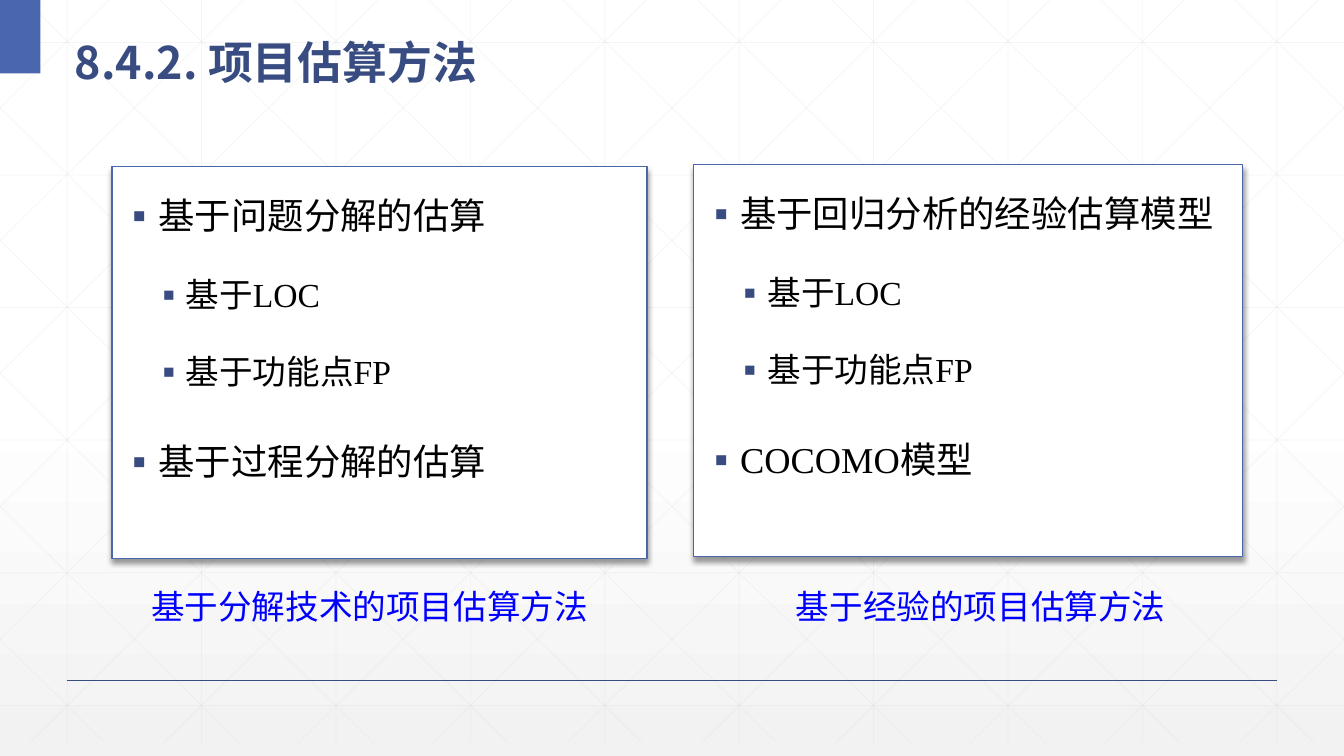
"""Builds a slide that sets two families of project estimation methods side by side."""
from dataclasses import dataclass

from lxml import etree
from pptx import Presentation
from pptx.dml.color import RGBColor
from pptx.enum.shapes import MSO_CONNECTOR, MSO_SHAPE
from pptx.enum.text import MSO_ANCHOR, MSO_AUTO_SIZE, PP_ALIGN
from pptx.oxml.ns import qn
from pptx.util import Cm, Pt

LINE = MSO_CONNECTOR.STRAIGHT
RECT = MSO_SHAPE.RECTANGLE
LEFT = PP_ALIGN.LEFT
TOP, MIDDLE = MSO_ANCHOR.TOP, MSO_ANCHOR.MIDDLE
FIT, GROW, FIXED = (MSO_AUTO_SIZE.TEXT_TO_FIT_SHAPE,
                    MSO_AUTO_SIZE.SHAPE_TO_FIT_TEXT, MSO_AUTO_SIZE.NONE)
TWO_LISTS = 3
WIDE, HIGH = 33.87, 19.05


@dataclass(frozen=True)
class Theme:
    """Holds the colours, fonts and type sizes."""
    navy: str = "384C81"
    blue: str = "4A66AC"
    link: str = "0000FF"
    ink: str = "000000"
    paper: str = "FFFFFF"
    mist: str = "F2F2F2"
    grid: str = "D9D9D9"
    sans: str = "Noto Sans CJK SC"
    serif: str = "Times New Roman"
    title: int = 32
    item: int = 26
    small: int = 24


THEME = Theme()


def rgb(code):
    """Turns a hex code into a colour."""
    return RGBColor.from_string(code)


def node(parent, tag, **attrs):
    """Adds a drawing element under a parent."""
    child = etree.SubElement(parent, qn(tag))
    for key, value in attrs.items():
        child.set(key, str(value))
    return child


def place(shape, left, top, width, height):
    """Moves and sizes a shape, in centimetres."""
    shape.left, shape.top = Cm(left), Cm(top)
    shape.width, shape.height = Cm(width), Cm(height)


def write(para, text, size, color, font, bold=False, gap=None, before=0):
    """Writes one formatted run into a paragraph."""
    para.alignment = LEFT
    para.line_spacing = gap
    para.space_before = Pt(before)
    run = para.add_run()
    run.text = text
    run.font.size, run.font.bold = Pt(size), bold
    run.font.color.rgb = rgb(color)
    run.font.name = font
    node(run.font._element, "a:ea", typeface=THEME.sans)


def bullet(para, left, hang):
    """Gives a paragraph a square bullet and a hanging indent."""
    props = para._p.get_or_add_pPr()
    props.set("marL", str(Cm(left)))
    props.set("indent", str(-Cm(hang)))
    node(node(props, "a:buClr"), "a:srgbClr", val=THEME.navy)
    node(props, "a:buFont", typeface=THEME.sans)
    node(props, "a:buChar", char="▪")


def shade(shape):
    """Adds a soft shadow below a shape."""
    shape.shadow.inherit = False
    effects = shape._element.spPr.find(qn("a:effectLst"))
    drop = node(effects, "a:outerShdw", blurRad=Pt(4), dist=Pt(3),
                dir=5400000, algn="t", rotWithShape=0)
    node(node(drop, "a:srgbClr", val=THEME.ink), "a:alpha", val=40000)


def rule(shapes, start, end, color, width, alpha=100):
    """Draws a straight line between two points."""
    line = shapes.add_connector(LINE, *(Cm(n) for n in (*start, *end)))
    line.line.color.rgb = rgb(color)
    line.line.width = Pt(width)
    props = line._element.spPr
    node(props.find(".//" + qn("a:srgbClr")), "a:alpha", val=alpha * 1000)
    node(props, "a:effectLst")


def lattice(shapes):
    """Draws the pale grid with its crossing diagonals."""
    step, floor, run = WIDE / 10, 18.72, 18.94
    slope = floor / run
    spans = [((x, 0), (x, floor)) for x in (step * (i + 0.5) for i in range(10))]
    spans += [((0, y), (WIDE, y)) for y in (1.07 + 3.34 * i for i in range(6))]
    for i in range(-5, 10):
        origin = 0.64 + step * i
        near, far = max(origin, 0), min(origin + run, WIDE)
        high, low = (near - origin) * slope, (far - origin) * slope
        spans += [((near, high), (far, low)),
                  ((WIDE - near, high), (WIDE - far, low))]
    for start, end in spans:
        rule(shapes, start, end, THEME.grid, 0.5, alpha=25)


def backdrop(slide):
    """Sets the gradient, grid, corner block and foot line."""
    fill = slide.background.fill
    fill.gradient()
    fill.gradient_angle = 270
    for stop, spot, color in zip(fill.gradient_stops, (0.53, 1), (THEME.paper, THEME.mist)):
        stop.position = spot
        stop.color.rgb = rgb(color)
    group = slide.shapes.add_group_shape()
    lattice(group.shapes)
    rule(group.shapes, (1.7, 17.15), (32.17, 17.15), THEME.navy, 1)
    block = group.shapes.add_shape(RECT, 0, 0, Cm(1.02), Cm(1.85))
    block.fill.solid()
    block.fill.fore_color.rgb = rgb(THEME.blue)
    block.line.fill.background()
    block.shadow.inherit = False
    slide.shapes.title._element.addprevious(group._element)


def heading(shape, text):
    """Fills the title."""
    place(shape, 1.63, 0.43, 26.42, 1.85)
    frame = shape.text_frame
    frame.vertical_anchor, frame.auto_size = MIDDLE, FIXED
    write(frame.paragraphs[0], text, THEME.title, THEME.navy, THEME.sans,
          bold=True, gap=1.3)


def panel(shape, box, items):
    """Fills a framed list of (level, text) items."""
    place(shape, *box)
    shape.fill.solid()
    shape.fill.fore_color.rgb = rgb(THEME.paper)
    shape.line.color.rgb = rgb(THEME.blue)
    shape.line.width = Pt(1)
    shade(shape)
    frame = shape.text_frame
    frame.vertical_anchor, frame.auto_size = TOP, FIT
    styles = ((THEME.item, 18, 0.64, 0.64), (THEME.small, 12, 1.27, 0.51))
    for i, (level, text) in enumerate(items):
        para = frame.add_paragraph() if i else frame.paragraphs[0]
        para.level = level
        size, before, left, hang = styles[level]
        write(para, text, size, THEME.ink, THEME.serif, gap=1.5, before=before)
        bullet(para, left, hang)


def caption(slide, box, text):
    """Adds a one-line caption under a panel."""
    label = slide.shapes.add_textbox(*(Cm(n) for n in box))
    frame = label.text_frame
    frame.word_wrap, frame.auto_size = False, GROW
    write(frame.paragraphs[0], text, THEME.small, THEME.link, THEME.sans)


def main():
    """Builds and saves the slide."""
    deck = Presentation()
    deck.slide_width, deck.slide_height = Cm(WIDE), Cm(HIGH)
    slide = deck.slides.add_slide(deck.slide_layouts[TWO_LISTS])
    title, first, second, *rest = slide.placeholders
    for spare in rest:
        spare._element.getparent().remove(spare._element)
    backdrop(slide)
    heading(title, "8.4.2. 项目估算方法")
    shared = [(1, "基于LOC"), (1, "基于功能点FP")]
    panel(first, (2.82, 4.19, 13.49, 9.88),
          [(0, "基于问题分解的估算"), *shared, (0, "基于过程分解的估算")])
    panel(second, (17.48, 4.14, 13.84, 9.88),
          [(0, "基于回归分析的经验估算模型"), *shared, (0, "COCOMO模型")])
    caption(slide, (3.56, 14.63, 11.63, 1.27), "基于分解技术的项目估算方法")
    caption(slide, (19.81, 14.63, 9.91, 1.27), "基于经验的项目估算方法")
    deck.save("out.pptx")


if __name__ == "__main__":
    main()
